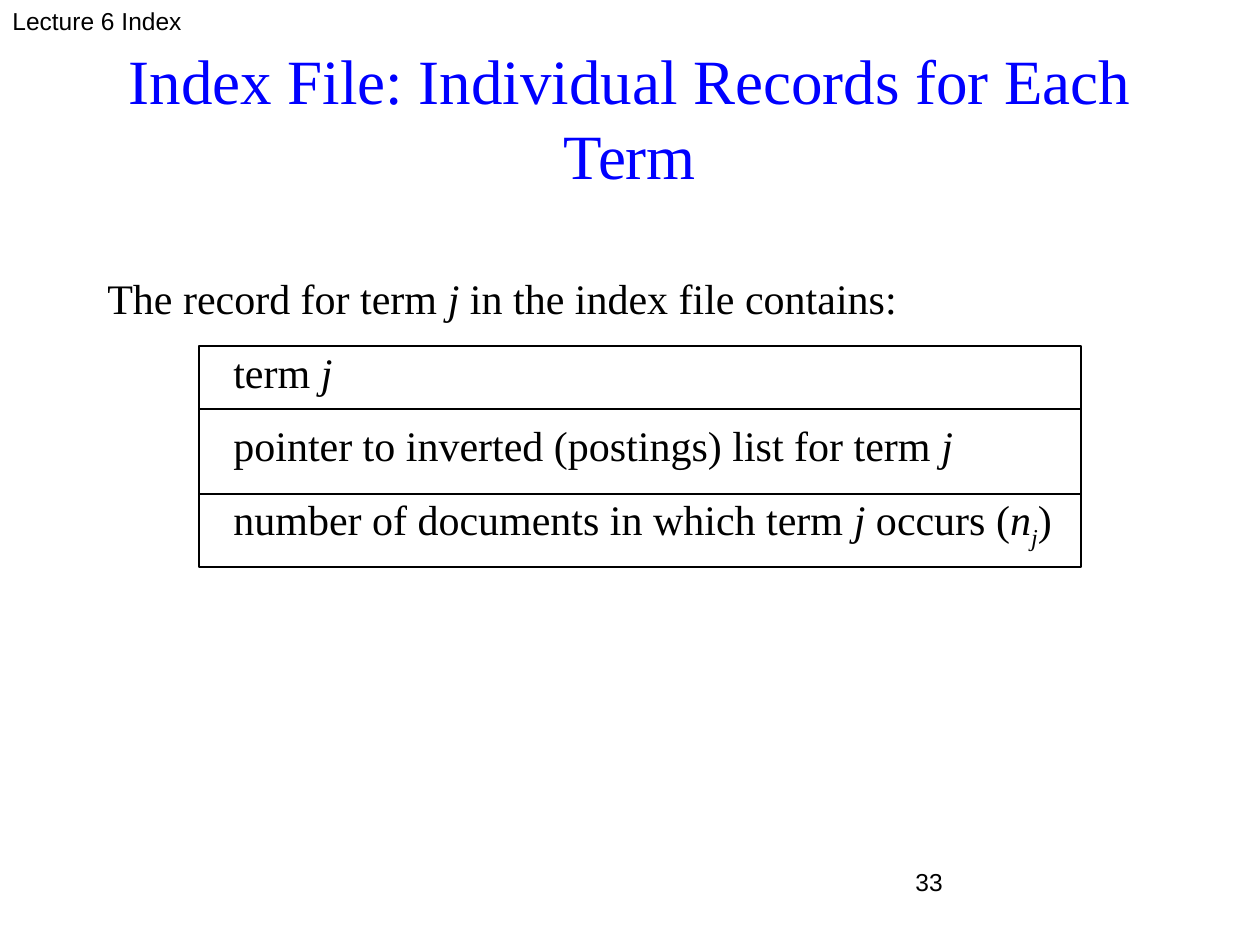
from dataclasses import dataclass

from lxml.etree import SubElement
from pptx import Presentation
from pptx.dml.color import RGBColor
from pptx.enum.shapes import MSO_CONNECTOR, MSO_SHAPE
from pptx.enum.text import MSO_ANCHOR, PP_ALIGN
from pptx.oxml.ns import qn
from pptx.util import Emu, Pt

SCALE = 914400 // 126  # EMU per px


def px(n):
    return Emu(n * SCALE)


@dataclass(frozen=True)
class Theme:
    ink: RGBColor = RGBColor(0, 0, 0)
    title_ink: RGBColor = RGBColor(0, 0, 255)
    serif: str = "Times New Roman"
    sans: str = "Arial"
    title_size: int = 36
    body_size: int = 24
    note_size: int = 14
    body_gap: float = 13.2
    rule: float = 0.75


class Deck:
    def __init__(self, prs, theme):
        self.theme = theme
        self.s = prs.slides.add_slide(prs.slide_layouts[6])

    def text(self, box, paragraphs, size, font, color=None, align=PP_ALIGN.LEFT,
             anchor=MSO_ANCHOR.TOP, gap=0, tab=None, top=6):
        """Each paragraph is a list of runs: (text, style), style from 'i' and '_'."""
        sp = self.s.shapes.add_textbox(*map(px, box))
        tf = sp.text_frame
        tf.word_wrap = True
        tf.vertical_anchor = anchor
        tf.margin_top = px(top)
        for n, runs in enumerate(paragraphs):
            p = tf.add_paragraph() if n else tf.paragraphs[0]
            p.alignment = align
            if tab:
                tabs = SubElement(p._p.get_or_add_pPr(), qn("a:tabLst"))
                SubElement(tabs, qn("a:tab"), pos=str(px(tab)), algn="l")
            p.space_before = Pt(gap if n else 0)
            for words, style in runs:
                r = p.add_run()
                r.text = words
                r.font.name = font
                r.font.size = Pt(size)
                r.font.color.rgb = color or self.theme.ink
                r.font.italic = "i" in style
                if "_" in style:
                    r.font._element.set("baseline", "-25000")

    def frame(self, box):
        sp = self.s.shapes.add_shape(MSO_SHAPE.RECTANGLE, *map(px, box))
        sp.shadow.inherit = False
        sp.fill.background()
        self.stroke(sp)

    def rule(self, x1, x2, y):
        line = self.s.shapes.add_connector(
            MSO_CONNECTOR.STRAIGHT, px(x1), px(y), px(x2), px(y))
        SubElement(line._element.spPr, qn("a:effectLst"))
        self.stroke(line)

    def stroke(self, sp):
        sp.line.color.rgb = self.theme.ink
        sp.line.width = Pt(self.theme.rule)


def main():
    prs = Presentation()
    prs.slide_width, prs.slide_height = px(1260), px(945)
    t = Theme()
    deck = Deck(prs, t)

    # Header and page number
    deck.text((0, 0, 551, 66), [[("Lecture 6 Index", "")]], t.note_size, t.sans)
    deck.text((903, 861, 294, 66), [[("33", "")]], t.note_size, t.sans)

    # Title
    deck.text((63, 38, 1134, 158),
              [[("Index File: Individual Records for Each Term", "")]],
              t.title_size, t.serif, t.title_ink, PP_ALIGN.CENTER, MSO_ANCHOR.MIDDLE)

    # Record fields
    deck.text((95, 262, 987, 290), [
        [("The record for term ", ""), ("j", "i"), (" in the index file contains:", "")],
        [("\tterm", ""), (" j", "i")],
        [("\tpointer to inverted (postings) list for term", ""), (" j", "i")],
        [("\tnumber of documents in which term ", ""), ("j", "i"), (" occurs (", ""),
         ("n", "i"), ("j", "i_"), (")", "")],
    ], t.body_size, t.serif, gap=t.body_gap, tab=126, top=11)

    # Record outline and its dividers
    left, top, width, height = 199, 346, 882, 221
    deck.frame((left, top, width, height))
    for y in (409, 494):
        deck.rule(left, left + width, y)

    prs.save("out.pptx")


if __name__ == "__main__":
    main()
